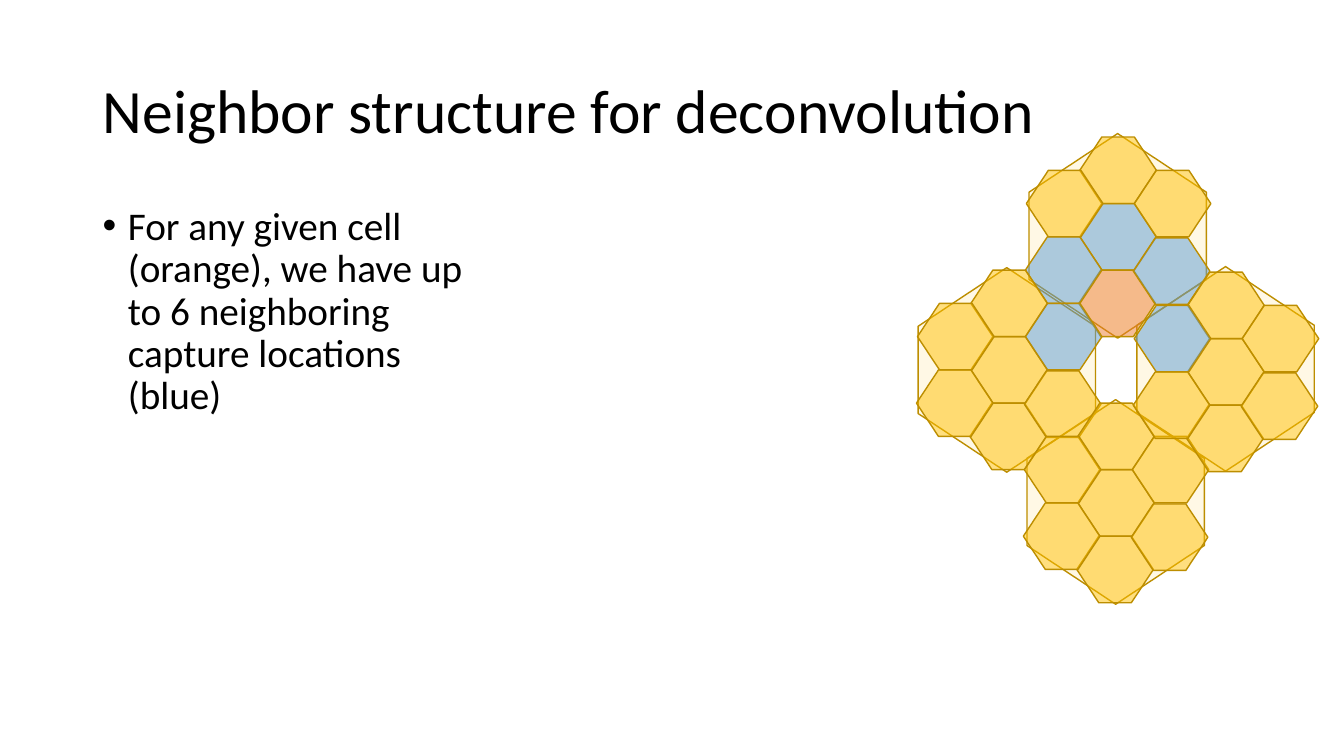
import pptx
import pptx.dml.color
import pptx.enum.shapes
import pptx.enum.text
import pptx.oxml.ns
import pptx.util
from lxml import etree

Inches = pptx.util.Inches
RGBColor = pptx.dml.color.RGBColor
qn = pptx.oxml.ns.qn
ANCHOR = pptx.enum.text.MSO_ANCHOR

BLACK = RGBColor(0x00, 0x00, 0x00)
GOLD = RGBColor(0xFF, 0xC0, 0x00)
BLUE = RGBColor(0x5B, 0x9B, 0xD5)
ORANGE = RGBColor(0xED, 0x7D, 0x31)
EDGE = RGBColor(0xBD, 0x8E, 0x00)

CELL_SIZE = (0.76, 0.66)
OUTLINE_SIZE = (2.03, 1.76)

# Cells of one cluster, as steps from its middle cell
CELL_STEPS = {
    "middle": (0, 0),
    "top": (0, -0.66),
    "bottom": (-0.01, 0.66),
    "upper right": (0.54, -0.33),
    "lower right": (0.53, 0.34),
    "upper left": (-0.53, -0.33),
    "lower left": (-0.54, 0.33),
}

# Middle cell, outline corner and the cells that are not gold
CLUSTERS = [
    ((10.71, 2.02), (10.07, 1.46), {"middle": BLUE, "bottom": ORANGE,
                                    "lower right": BLUE, "lower left": BLUE}),
    ((9.63, 3.34), (8.97, 2.79), {"upper right": BLUE}),
    ((10.69, 4.66), (10.05, 4.1), {}),
    ((11.78, 3.36), (11.14, 2.78), {"upper left": BLUE}),
]


class SlideBuilder:
    def __init__(self, slide):
        self.slide = slide
        self.font_name = "Calibri"

    def text(self, content, box, size, anchor, bullet=False):
        frame = self.slide.shapes.add_textbox(*map(Inches, box)).text_frame
        frame.word_wrap = True
        frame.vertical_anchor = anchor
        paragraph = frame.paragraphs[0]
        paragraph.text = content
        paragraph.line_spacing = 0.9
        if bullet:
            properties = paragraph._p.get_or_add_pPr()
            properties.set("marL", str(Inches(0.25)))
            properties.set("indent", str(Inches(-0.25)))
            etree.SubElement(properties, qn("a:buFont")).set("typeface", "Arial")
            etree.SubElement(properties, qn("a:buChar")).set("char", "•")
        font_format = {"name": self.font_name, "size": pptx.util.Pt(size)}
        for attribute, value in font_format.items():
            setattr(paragraph.font, attribute, value)
        paragraph.font.color.rgb = BLACK

    def hexagon(self, corner, size, color, opacity, rotation=0):
        hexagon = self.slide.shapes.add_shape(
            pptx.enum.shapes.MSO_SHAPE.HEXAGON, *map(Inches, corner + size))
        hexagon.adjustments[0] = 0.331
        hexagon.rotation = rotation
        hexagon.shadow.inherit = False
        hexagon.fill.solid()
        hexagon.fill.fore_color.rgb = color
        color_node = hexagon.fill._xPr.find(qn("a:solidFill"))[0]
        etree.SubElement(color_node, qn("a:alpha")).set("val", str(opacity * 1000))
        hexagon.line.color.rgb = EDGE
        hexagon.line.width = pptx.util.Pt(1)


def main():
    presentation = pptx.Presentation()
    presentation.slide_width = Inches(13.33)
    presentation.slide_height = Inches(7.5)
    builder = SlideBuilder(
        presentation.slides.add_slide(presentation.slide_layouts[6]))

    # Title and explanation
    builder.text("Neighbor structure for deconvolution",
                 (0.92, 0.4, 11.5, 1.45), 44, ANCHOR.MIDDLE)
    builder.text("For any given cell (orange), we have up to 6 neighboring "
                 "capture locations (blue)",
                 (0.92, 2, 3.79, 4.76), 28, ANCHOR.TOP, bullet=True)

    # Pale cluster outlines behind all cells
    for _, outline_corner, _ in CLUSTERS:
        builder.hexagon(outline_corner, OUTLINE_SIZE, GOLD, 10, rotation=90)

    # Cells of each cluster
    for (middle_x, middle_y), _, marked_cells in CLUSTERS:
        for cell, (step_x, step_y) in CELL_STEPS.items():
            builder.hexagon((middle_x + step_x, middle_y + step_y), CELL_SIZE,
                            marked_cells.get(cell, GOLD), 50)

    presentation.save("out.pptx")


if __name__ == "__main__":
    main()
